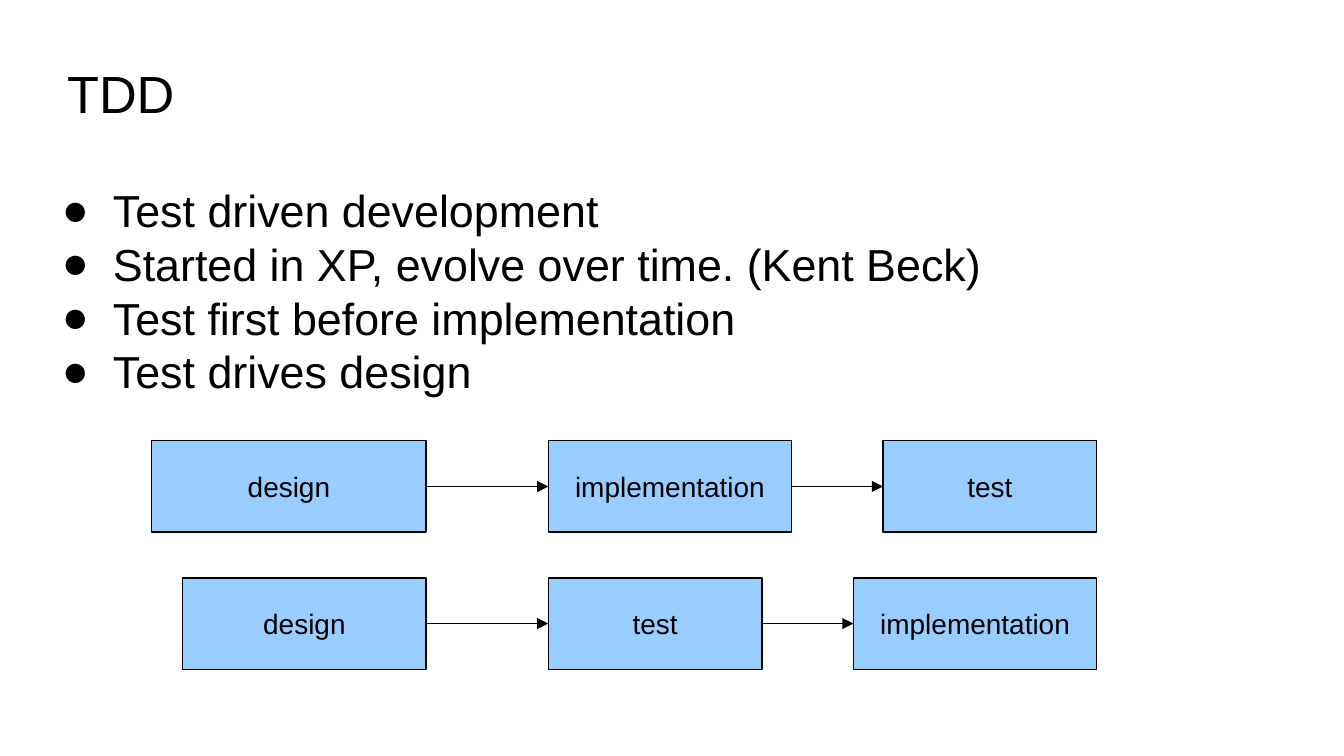
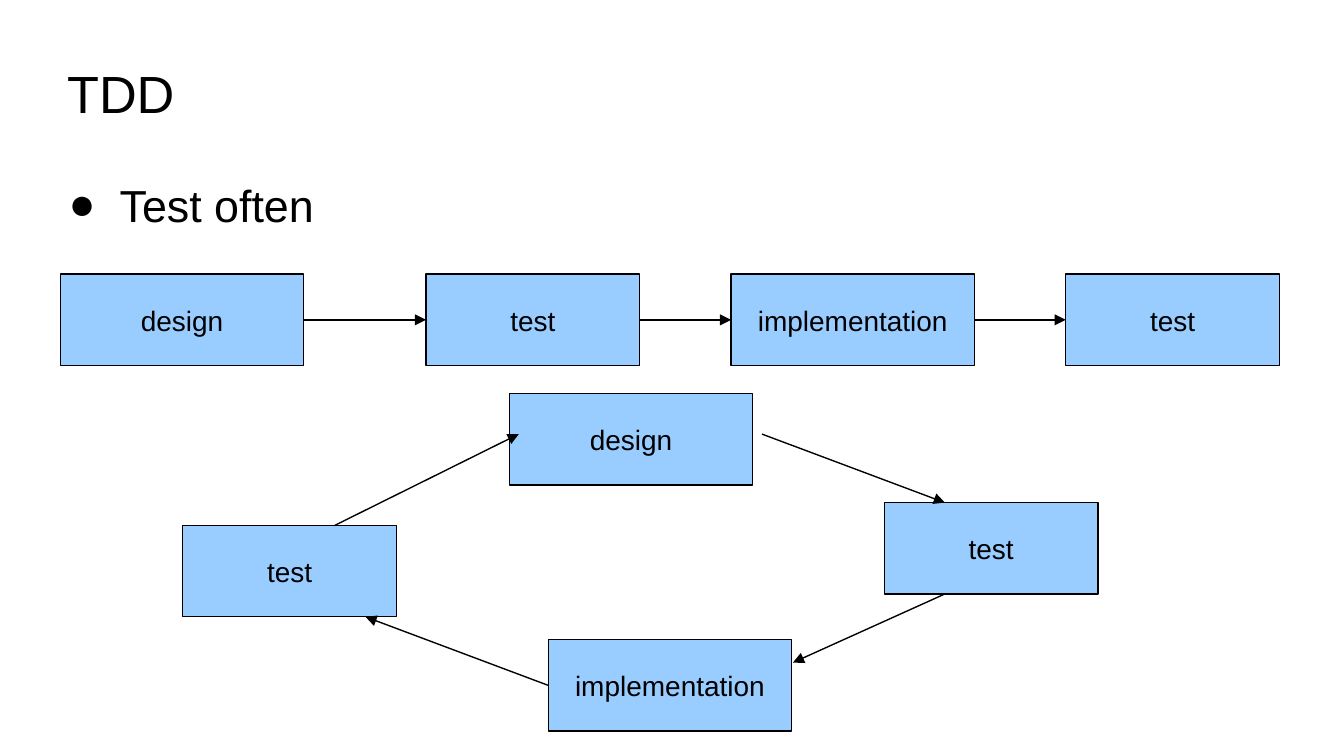
from lxml import etree
from pptx import Presentation
from pptx.dml.color import RGBColor
from pptx.enum import shapes, text
from pptx.oxml import ns
from pptx.util import Inches, Pt

BLACK = RGBColor(0x00, 0x00, 0x00)
SKY = RGBColor(0x99, 0xCC, 0xFF)
FONT = "Arial"
PAGE_WIDTH = 10
PAGE_HEIGHT = PAGE_WIDTH * 9 / 16
BOX_HEIGHT = 0.68
WIDTHS = {"design": 1.81, "test": 1.59, "implementation": 1.81}
FIRST_GAP, NEXT_GAP = 0.91, 0.68


def style_paragraph(para, size, align):
    para.font.name = FONT
    para.font.size = Pt(size)
    para.font.color.rgb = BLACK
    para.alignment = align


def prepare_placeholder(holder, left, top, width, height, anchor):
    holder.left, holder.top = Inches(left), Inches(top)
    holder.width, holder.height = Inches(width), Inches(height)
    frame = holder.text_frame
    frame.margin_left = frame.margin_right = 0
    frame.margin_top = frame.margin_bottom = 0
    frame.vertical_anchor = anchor
    frame.auto_size = text.MSO_AUTO_SIZE.NONE
    frame.word_wrap = True
    return frame


def add_bullet(para):
    props = para._p.get_or_add_pPr()
    props.set("marL", str(Inches(0.39)))
    props.set("indent", str(Inches(-0.38)))
    color = etree.SubElement(props, ns.qn("a:buClr"))
    etree.SubElement(color, ns.qn("a:srgbClr"), val=str(BLACK))
    etree.SubElement(props, ns.qn("a:buFont"), typeface=FONT)
    etree.SubElement(props, ns.qn("a:buChar"), char="●")


def add_page(deck, title, points, left, top):
    """Add a slide with its title and a bullet list starting at left, top."""
    page = deck.slides.add_slide(deck.slide_layouts[1])
    heading = prepare_placeholder(page.shapes.title, 0.5, 0.22, 9, 0.94,
                                  text.MSO_ANCHOR.MIDDLE)
    heading.text = title
    style_paragraph(heading.paragraphs[0], 28, text.PP_ALIGN.LEFT)

    body = prepare_placeholder(page.placeholders[1], left, top, 9, 3.71,
                               text.MSO_ANCHOR.TOP)
    body.text = "\n".join(points)
    for para in body.paragraphs:
        style_paragraph(para, 24, text.PP_ALIGN.LEFT)
        para.space_before = Pt(0)
        add_bullet(para)
    return page


def add_step(page, label, left, top, width):
    box = page.shapes.add_shape(shapes.MSO_SHAPE.RECTANGLE, Inches(left),
                                Inches(top), Inches(width), Inches(BOX_HEIGHT))
    box.shadow.inherit = False
    box.fill.solid()
    box.fill.fore_color.rgb = SKY
    box.line.color.rgb = BLACK
    box.line.width = Pt(0.75)
    frame = box.text_frame
    frame.margin_left = frame.margin_right = Inches(0.08)
    frame.margin_top = frame.margin_bottom = Inches(0.04)
    frame.vertical_anchor = text.MSO_ANCHOR.MIDDLE
    frame.word_wrap = True
    frame.text = label
    style_paragraph(frame.paragraphs[0], 15, text.PP_ALIGN.CENTER)


def add_arrow(page, x1, y1, x2, y2):
    arrow = page.shapes.add_connector(shapes.MSO_CONNECTOR.STRAIGHT, Inches(x1),
                                      Inches(y1), Inches(x2), Inches(y2))
    arrow.line.color.rgb = BLACK
    arrow.line.width = Pt(0.75)
    etree.SubElement(arrow.line._get_or_add_ln(), ns.qn("a:tailEnd"), type="triangle")
    etree.SubElement(arrow._element.spPr, ns.qn("a:effectLst"))


def add_row(page, left, top, labels, first_width=WIDTHS["design"]):
    """Chain steps from left to right; the first gap is the widest."""
    middle = top + BOX_HEIGHT / 2
    for index, label in enumerate(labels):
        if index:
            gap = FIRST_GAP if index == 1 else NEXT_GAP
            add_arrow(page, left, middle, left + gap, middle)
            left += gap
        width = WIDTHS[label] if index else first_width
        add_step(page, label, left, top, width)
        left += width


def add_cycle(page, left, top):
    """Draw the loop of steps, clockwise from design."""
    steps = [("design", 2.43, 0), ("test", 5.22, 0.81),
             ("implementation", 2.72, 1.83), ("test", 0, 0.98)]
    arrows = [(4.31, 0.3, 5.67, 0.81), (5.67, 1.49, 4.54, 2),
              (2.72, 2.17, 1.36, 1.66), (1.13, 0.98, 2.5, 0.3)]
    for label, x, y in steps:
        add_step(page, label, left + x, top + y, WIDTHS[label])
    for x1, y1, x2, y2 in arrows:
        add_arrow(page, left + x1, top + y1, left + x2, top + y2)


def add_order_page(deck):
    page = add_page(deck, "TDD", [
        "Test driven development",
        "Started in XP, evolve over time. (Kent Beck)",
        "Test first before implementation",
        "Test drives design",
    ], 0.45, 1.36)
    add_row(page, 1.13, 3.28, ["design", "implementation", "test"], first_width=2.04)
    add_row(page, 1.36, 4.3, ["design", "test", "implementation"])


def add_cycle_page(deck):
    page = add_page(deck, "TDD", ["Test often"], 0.5, 1.32)
    add_row(page, 0.45, 2.04, ["design", "test", "implementation", "test"])
    add_cycle(page, 1.36, 2.93)


def main():
    deck = Presentation()
    deck.slide_width, deck.slide_height = Inches(PAGE_WIDTH), Inches(PAGE_HEIGHT)
    add_order_page(deck)
    add_cycle_page(deck)
    deck.save("out.pptx")


if __name__ == "__main__":
    main()
